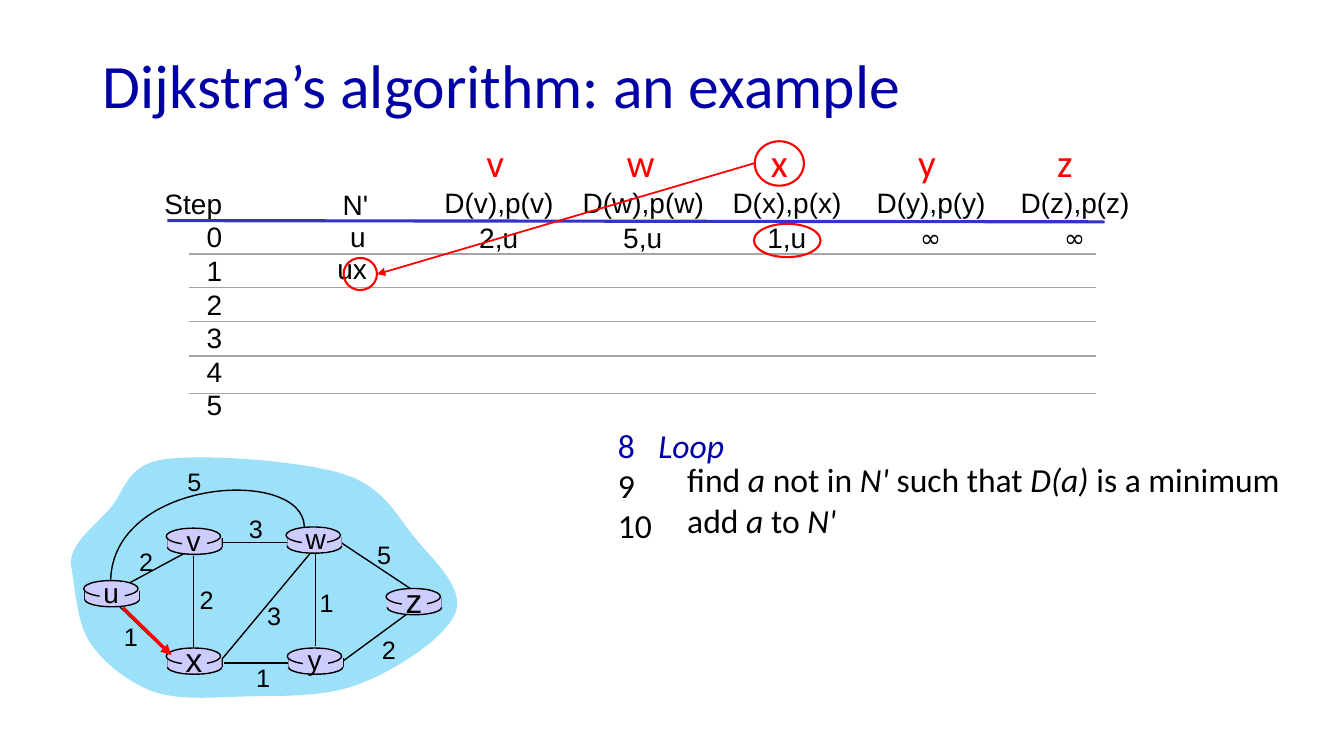
from dataclasses import dataclass

from pptx import Presentation
from pptx.dml.color import RGBColor
from pptx.enum.shapes import MSO_CONNECTOR, MSO_SHAPE
from pptx.enum.text import MSO_ANCHOR, PP_ALIGN
from pptx.oxml.ns import qn
from pptx.util import Cm, Pt
from lxml import etree

LEFT, MID, RIGHT = PP_ALIGN.LEFT, PP_ALIGN.CENTER, PP_ALIGN.RIGHT
OVAL, RECT = MSO_SHAPE.OVAL, MSO_SHAPE.RECTANGLE
LINE = MSO_CONNECTOR.STRAIGHT
ANCHOR = MSO_ANCHOR.MIDDLE


@dataclass(frozen=True)
class Theme:
    title: str = "0000A3"
    loop: str = "0000A8"
    ink: str = "000000"
    red: str = "FF0000"
    rule: str = "3333CC"
    grid: str = "A5A5A5"
    cloud: str = "9CE0FA"
    node: str = "CCCCFF"
    sans: str = "Calibri"
    plain: str = "Arial"
    sign: str = "Comic Neue"
    head: int = 44
    mark: int = 28
    code: int = 24
    body: int = 20
    small: int = 18


class Board:
    def __init__(self, slide, theme):
        self.slide = slide
        self.shapes = slide.shapes
        self.theme = theme

    def font(self, para, face, size, color):
        para.font.name = face
        para.font.size = Pt(size)
        para.font.color.rgb = RGBColor.from_string(color)

    def title(self, words, left, top, width, height):
        box = self.shapes.title
        box.left, box.top, box.width, box.height = map(Cm, (left, top, width, height))
        frame = box.text_frame
        frame.text = words
        frame.vertical_anchor = ANCHOR
        para = frame.paragraphs[0]
        para.alignment = LEFT
        para.line_spacing = 0.9
        self.font(para, self.theme.sans, self.theme.head, self.theme.title)

    def text(self, lines, left, top, width, height, size=None, face=None,
             color=None, align=RIGHT):
        look = self.theme
        box = self.shapes.add_textbox(*map(Cm, (left, top, width, height)))
        frame = box.text_frame
        frame.word_wrap = False
        for i, line in enumerate(lines):
            para = frame.add_paragraph() if i else frame.paragraphs[0]
            para.alignment = align
            self.font(para, face or look.plain, size or look.body, color or look.ink)
            for j, part in enumerate(line.split("*")):
                if part:
                    run = para.add_run()
                    run.text = part
                    if j % 2:
                        run.font.italic = True
        return frame

    def paint(self, shape, fill, line, weight):
        shape.shadow.inherit = False
        if fill:
            shape.fill.solid()
            shape.fill.fore_color.rgb = RGBColor.from_string(fill)
        else:
            shape.fill.background()
        if line:
            shape.line.color.rgb = RGBColor.from_string(line)
            shape.line.width = Pt(weight)
        else:
            shape.line.fill.background()

    def shape(self, kind, left, top, width, height, fill=None, line=None, weight=1):
        item = self.shapes.add_shape(kind, *map(Cm, (left, top, width, height)))
        self.paint(item, fill, line, weight)

    def line(self, start, end, color=None, weight=1, arrow=False):
        item = self.shapes.add_connector(LINE, *map(Cm, start + end))
        item.line.color.rgb = RGBColor.from_string(color or self.theme.ink)
        item.line.width = Pt(weight)
        if arrow:
            tail = etree.SubElement(item.line._get_or_add_ln(), qn("a:tailEnd"))
            tail.set("type", "triangle")
        etree.SubElement(item._element.spPr, qn("a:effectLst"))

    def curve(self, points, close=False, fill=None, line=None):
        spots = [(Cm(x), Cm(y)) for x, y in points]
        form = self.shapes.build_freeform(*spots[0])
        form.add_line_segments(spots[1:], close=close)
        item = form.convert_to_shape()
        steps = item._element.xpath(".//a:lnTo")
        for i in range(0, len(steps), 3):
            bend = etree.Element(qn("a:cubicBezTo"))
            steps[i].addprevious(bend)
            for step in steps[i:i + 3]:
                bend.append(step[0])
                step.getparent().remove(step)
        self.paint(item, fill, line, 1)

    def router(self, name, x, y, size):
        fill, ink = self.theme.node, self.theme.ink
        self.shape(OVAL, x + 0.03, y + 0.3, 1.37, 0.36, fill, ink)
        for side in (x + 0.03, x + 1.4):
            self.line((side, y + 0.25), (side, y + 0.48))
        self.shape(RECT, x + 0.03, y + 0.25, 1.37, 0.23, fill)
        self.shape(OVAL, x, y, 1.37, 0.41, fill, ink)
        self.shape(RECT, x + 0.4, y + 0.04, 0.63, 0.58, fill)
        tall = 1.27 if size > self.theme.body else 1.09
        self.text([name], x + 0.24, y + 0.29 - tall / 2, 0.9, tall, size, align=MID)


def table(board):
    look = board.theme
    board.text(["Step", *"012345"], 3.89, 4.57, 1.96, 6.17)
    for word, left, top, width in (("N'", 8.36, 4.6, 1.17), ("u", 8.56, 5.4, 0.91),
                                   ("ux", 8.23, 6.22, 1.27)):
        board.text([word], left, top, width, 1.12)

    columns = (("v", "2,u", 3.28, 12.01, 0.97), ("w", "5,u", 3.61, 15.54, 1.22),
               ("x", "1,u", 3.28, 19.18, 0.94), ("y", "∞", 3.28, 22.89, 0.97),
               ("z", "∞", 3.28, 26.39, 0.91))
    for i, (name, cost, wide, left, room) in enumerate(columns):
        mid = 12.56 + 3.63 * i
        board.text([name], left, 3.36, room, 1.45, look.mark, look.sans, look.red, LEFT)
        board.text([f"D({name}),p({name})"], mid - wide / 2, 4.54, wide, 1.12)
        if cost == "∞":
            board.text([cost], mid - 0.52, 5.49, 1.04, 1.02, look.small, look.sign)
        else:
            board.text([cost], mid - 0.75, 5.42, 1.5, 1.12)

    board.line((4.22, 5.56), (27.84, 5.59), look.rule, 2.25)
    for y in (6.4, 7.24, 8.1, 8.97, 9.91):
        board.line((4.76, y), (27.62, y), look.grid)
    for ring in ((19.02, 3.56, 1.24, 1.12), (8.66, 6.5, 0.84, 0.81),
                 (19, 5.64, 1.68, 0.84)):
        board.shape(OVAL, *ring, line=look.red, weight=1.5)
    board.line((19.02, 4.11), (9.5, 6.91), look.red, 1.25, True)


def code(board):
    look = board.theme
    frame = board.text(["8\t*Loop*", "9", "10"], 15.32, 10.57, 3.4, 3.35,
                       look.code, look.sans, align=LEFT)
    first = frame.paragraphs[0]
    first.font.color.rgb = RGBColor.from_string(look.loop)
    stops = etree.Element(qn("a:tabLst"))
    etree.SubElement(stops, qn("a:tab"), pos=str(Cm(1.02)), algn="l")
    first._p.pPr.insert(0, stops)
    board.text(["find *a* not in *N'* such that *D(a)* is a minimum", "add *a* to *N'*"],
               17.07, 11.45, 16.1, 2.29, look.code, look.sans, align=LEFT)


def network(board):
    look = board.theme
    cloud = ((1.78, 14.2), (1.8, 13.67), (2.36, 13.28), (2.74, 12.85),
             (3.15, 12.42), (3.15, 11.73), (4.11, 11.58),
             (5.11, 11.43), (7.57, 11.61), (8.64, 11.94),
             (9.68, 12.27), (9.98, 12.98), (10.46, 13.56),
             (10.95, 14.15), (11.71, 14.81), (11.48, 15.44),
             (11.25, 16.05), (9.98, 16.89), (9.09, 17.22),
             (8.23, 17.58), (7.04, 17.53), (6.17, 17.55),
             (5.28, 17.58), (4.5, 17.65), (3.84, 17.42),
             (3.2, 17.17), (2.59, 16.69), (2.24, 16.15),
             (1.91, 15.62), (1.88, 14.61), (1.78, 14.2))
    board.curve(cloud, True, look.cloud)
    board.curve(((7.67, 13.28), (7.65, 11.76), (2.87, 12.04), (2.79, 14.61)),
                line=look.ink)
    edges = (((3.28, 14.68), (4.78, 13.87), "2", 3.68, 14.15),
             ((4.88, 14), (4.88, 16.38), "2", 5.21, 15.11),
             ((4.24, 16.46), (3.02, 15.29), "1", 3.3, 16.05),
             ((5.61, 16.59), (7.82, 13.94), "3", 6.91, 15.52),
             ((7.26, 16.71), (5.64, 16.71), "1", 6.63, 17.07),
             ((7.95, 13.97), (7.95, 16.28), "1", 8.23, 15.19),
             ((8.64, 16.66), (10.26, 15.47), "2", 9.8, 16.36),
             ((10.34, 14.83), (8.59, 13.67), "5", 9.68, 13.97),
             ((7.24, 13.67), (5.61, 13.67), "3", 6.45, 13.31))
    for start, end, *_ in edges:
        board.line(start, end)
    for name, x, y in (("u", 2.11, 14.63), ("x", 4.19, 16.33), ("v", 4.19, 13.31),
                       ("w", 7.21, 13.28), ("y", 7.24, 16.33), ("z", 9.73, 14.83)):
        board.router(name, x, y, look.code if name in "xz" else look.body)
    costs = [edge[2:] for edge in edges] + [("5", 4.9, 12.14)]
    for cost, x, y in costs:
        board.text([cost], x - 0.43, y - 0.51, 0.86, 1.02, look.small, align=MID)
    board.line((3.1, 15.32), (4.32, 16.51), look.red, 2.5, True)


def main():
    deck = Presentation()
    deck.slide_width, deck.slide_height = Cm(33.87), Cm(19.05)
    board = Board(deck.slides.add_slide(deck.slide_layouts[5]), Theme())
    board.title("Dijkstra’s algorithm: an example", 2.34, 0.99, 31.06, 2.49)
    table(board)
    code(board)
    network(board)
    deck.save("out.pptx")


if __name__ == "__main__":
    main()
